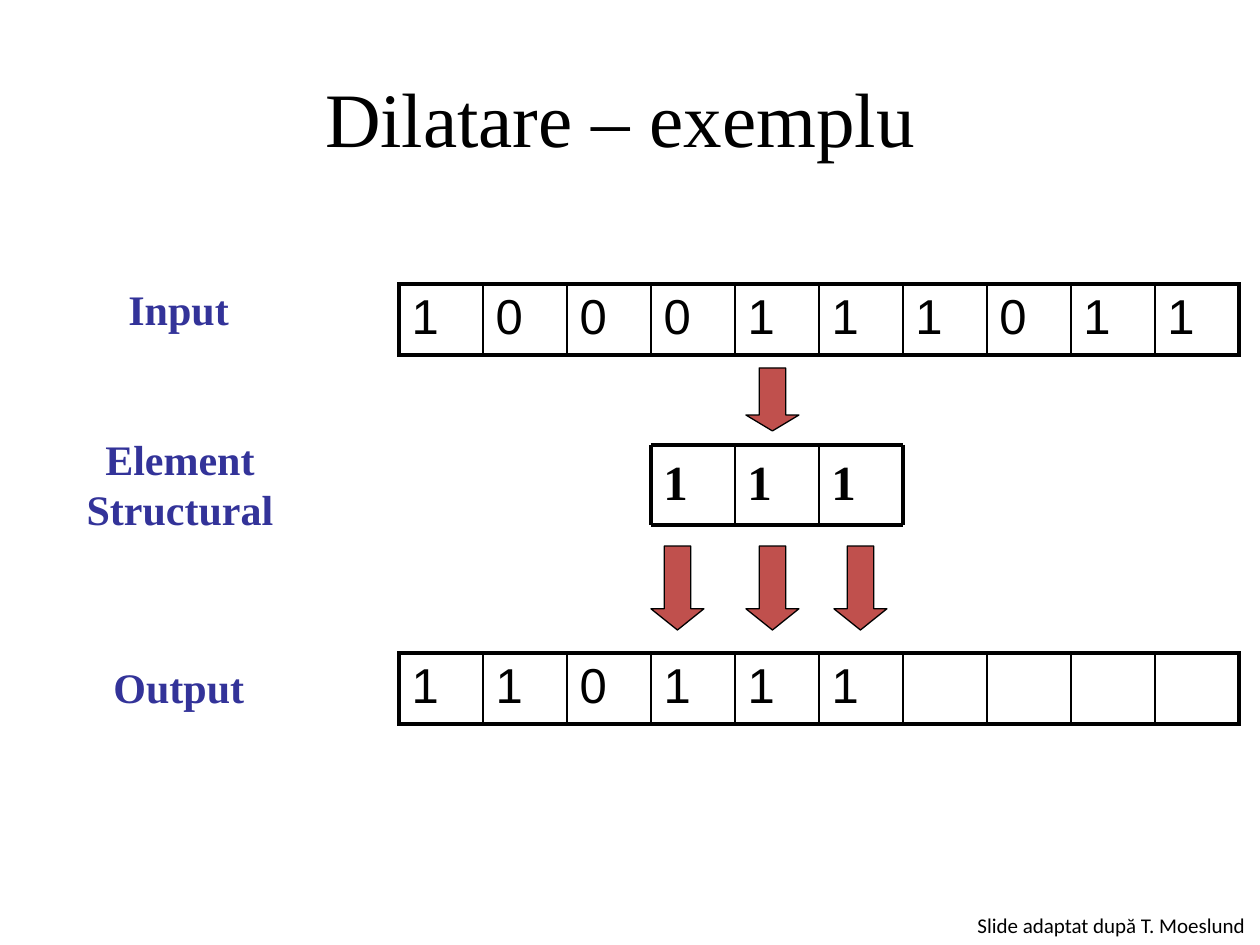
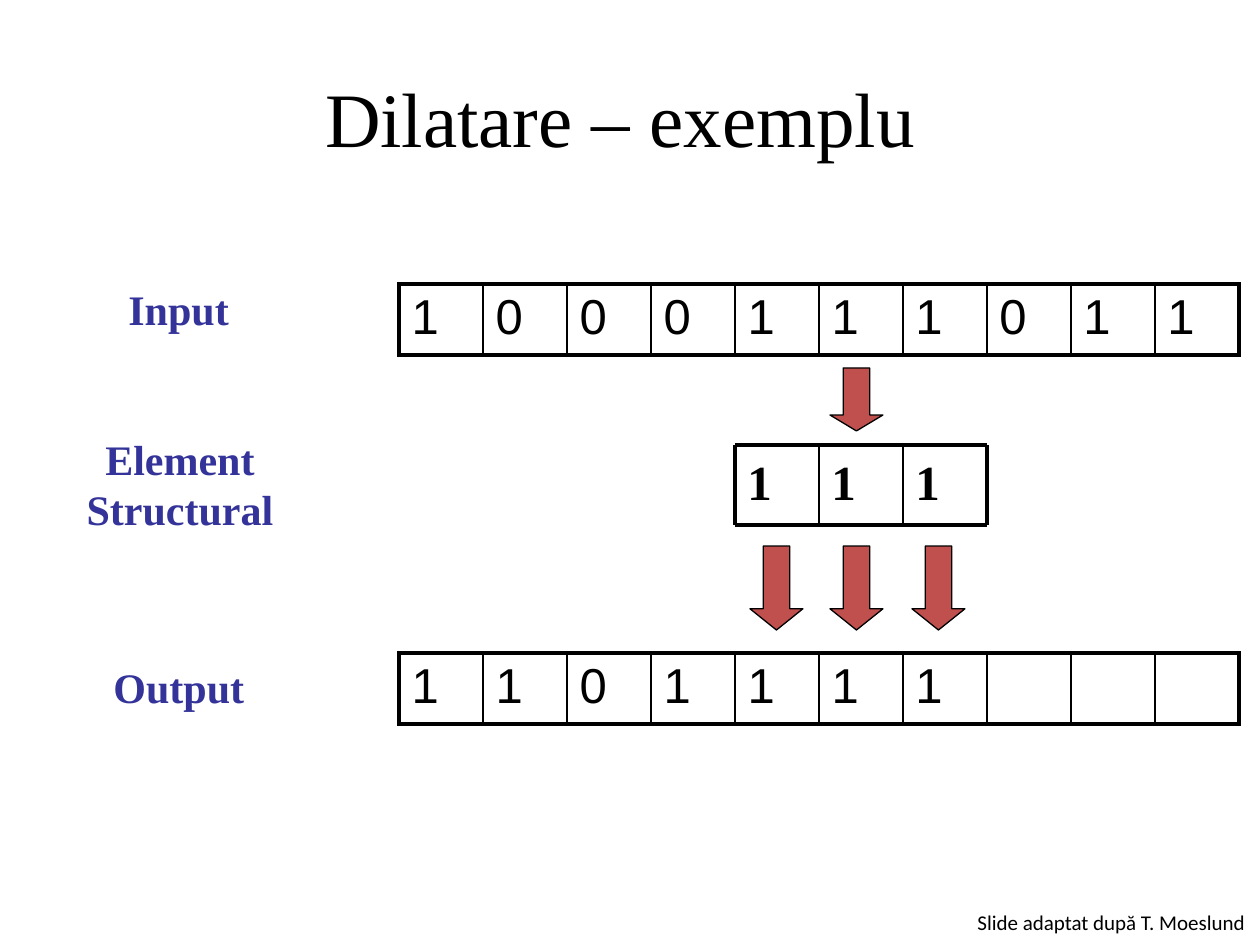
from lxml import etree
from pptx import Presentation
from pptx import util as u
from pptx.dml.color import RGBColor
from pptx.enum import shapes, text
from pptx.oxml.ns import qn

COLORS = {"ink": "000000", "label": "333399", "arrow": "C0504D"}
SERIF, SANS, NOTE = "Times New Roman", "Arial", "Calibri"
THICK, THIN = 2.25, 1
CELL, LEFT = 84, 399            # cell width and left edge of the rows
KERNEL_TOP, KERNEL_H = 445, 80
ARROW_W = 53
INPUT = "1000111011"


def px(n):
    return u.Emu(round(n * 914400 / 126))


def rgb(name):
    return RGBColor.from_string(COLORS[name])


def add_run(para, words, size, face, color="ink", bold=False):
    run = para.add_run()
    run.text = words
    font = run.font
    font.size, font.name, font.bold = u.Pt(size), face, bold
    font.color.rgb = rgb(color)


def add_title(slide, words):
    title = slide.shapes.title
    title.left, title.top = px(63), px(38)
    title.width, title.height = px(1134), px(157)
    frame = title.text_frame
    frame.vertical_anchor = text.MSO_ANCHOR.MIDDLE
    frame.paragraphs[0].alignment = text.PP_ALIGN.CENTER
    add_run(frame.paragraphs[0], words, 44, SERIF)


def add_label(slide, box, lines, size=24, face=SERIF, color="label", bold=True):
    frame = slide.shapes.add_textbox(*map(px, box)).text_frame
    frame.word_wrap = False
    frame.auto_size = text.MSO_AUTO_SIZE.SHAPE_TO_FIT_TEXT
    for i, line in enumerate(lines):
        para = frame.add_paragraph() if i else frame.paragraphs[0]
        if len(lines) > 1:
            para.alignment = text.PP_ALIGN.CENTER
        add_run(para, line, size, face, color, bold)


def set_edges(cell, widths):
    """Draw the left, right, top and bottom borders of a cell."""
    props = cell._tc.get_or_add_tcPr()
    for i, (side, width) in enumerate(zip("LRTB", widths)):
        edge = etree.Element(qn(f"a:ln{side}"), w=str(u.Pt(width)))
        fill = etree.SubElement(edge, qn("a:solidFill"))
        etree.SubElement(fill, qn("a:srgbClr"), val=COLORS["ink"])
        props.insert(i, edge)


def add_bits(slide, top, bits):
    """Add a one-row table of ten cells; missing bits stay empty."""
    count = len(INPUT)
    table = slide.shapes.add_table(
        1, count, px(LEFT), px(top), px(CELL * count), px(71)).table
    table.first_row = table.horz_banding = False
    for i, bit in enumerate(bits.ljust(count)):
        table.columns[i].width = px(CELL)
        cell = table.cell(0, i)
        cell.fill.background()
        set_edges(cell, (THICK if i == 0 else THIN,
                         THICK if i == count - 1 else THIN, THICK, THICK))
        if bit.strip():
            add_run(cell.text_frame.paragraphs[0], bit, 28, SANS)


def add_line(parent, x1, y1, x2, y2, width):
    line = parent.shapes.add_connector(
        shapes.MSO_CONNECTOR.STRAIGHT, *map(px, (x1, y1, x2, y2)))
    line.line.color.rgb = rgb("ink")
    line.line.width = u.Pt(width)
    etree.SubElement(line._element.spPr, qn("a:effectLst"))


def add_arrow(parent, left, top, height, head):
    arrow = parent.shapes.add_shape(
        shapes.MSO_SHAPE.DOWN_ARROW, *map(px, (left, top, ARROW_W, height)))
    arrow.adjustments[0], arrow.adjustments[1] = 0.5, head
    arrow.shadow.inherit = False
    arrow.fill.solid()
    arrow.fill.fore_color.rgb = rgb("arrow")
    arrow.line.color.rgb = rgb("ink")
    arrow.line.width = u.Pt(0.75)


def add_down(parent, left):
    add_arrow(parent, left, 546, 84, 0.4)


def add_kernel(slide, left):
    """Group the three-cell element with the arrows on its middle cell."""
    group = slide.shapes.add_group_shape()
    right, base = left + 3 * CELL, KERNEL_TOP + KERNEL_H
    for i in range(3):
        box = group.shapes.add_textbox(
            *map(px, (left + i * CELL, KERNEL_TOP, CELL, KERNEL_H)))
        box.text_frame.word_wrap = True
        add_run(box.text_frame.paragraphs[0], "1", 28, SERIF, bold=True)
    for y in (KERNEL_TOP, base):
        add_line(group, left, y, right, y, THICK)
    for i in range(4):
        x = left + i * CELL
        add_line(group, x, KERNEL_TOP, x, base, THICK if i in (0, 3) else THIN)
    middle = left + 95
    add_down(group, middle)
    add_arrow(group, middle, 368, 63, 0.3)


def add_step(deck, output, start, sides, credit):
    """Add one step: the element begins at input cell number start."""
    slide = deck.slides.add_slide(deck.slide_layouts[5])
    add_title(slide, "Dilatare – exemplu ")
    add_bits(slide, 284, INPUT)
    add_bits(slide, 653, output)
    add_kernel(slide, LEFT + start * CELL)
    add_label(slide, (116, 277, 127, 63), ["Input"])
    add_label(slide, (73, 427, 214, 115), ["Element", "Structural"])
    add_label(slide, (101, 655, 158, 63), ["Output"])
    add_label(slide, (965, credit, 299, 38), ["Slide adaptat după T. Moeslund"],
              12, NOTE, "ink", False)
    for left in sides:
        add_down(slide, left)


def main():
    deck = Presentation()
    deck.slide_width, deck.slide_height = px(1260), px(945)
    add_step(deck, "110111", 3, (651, 834), 906)
    add_step(deck, "1101111", 4, (750, 912), 903)
    deck.save("out.pptx")


if __name__ == "__main__":
    main()
